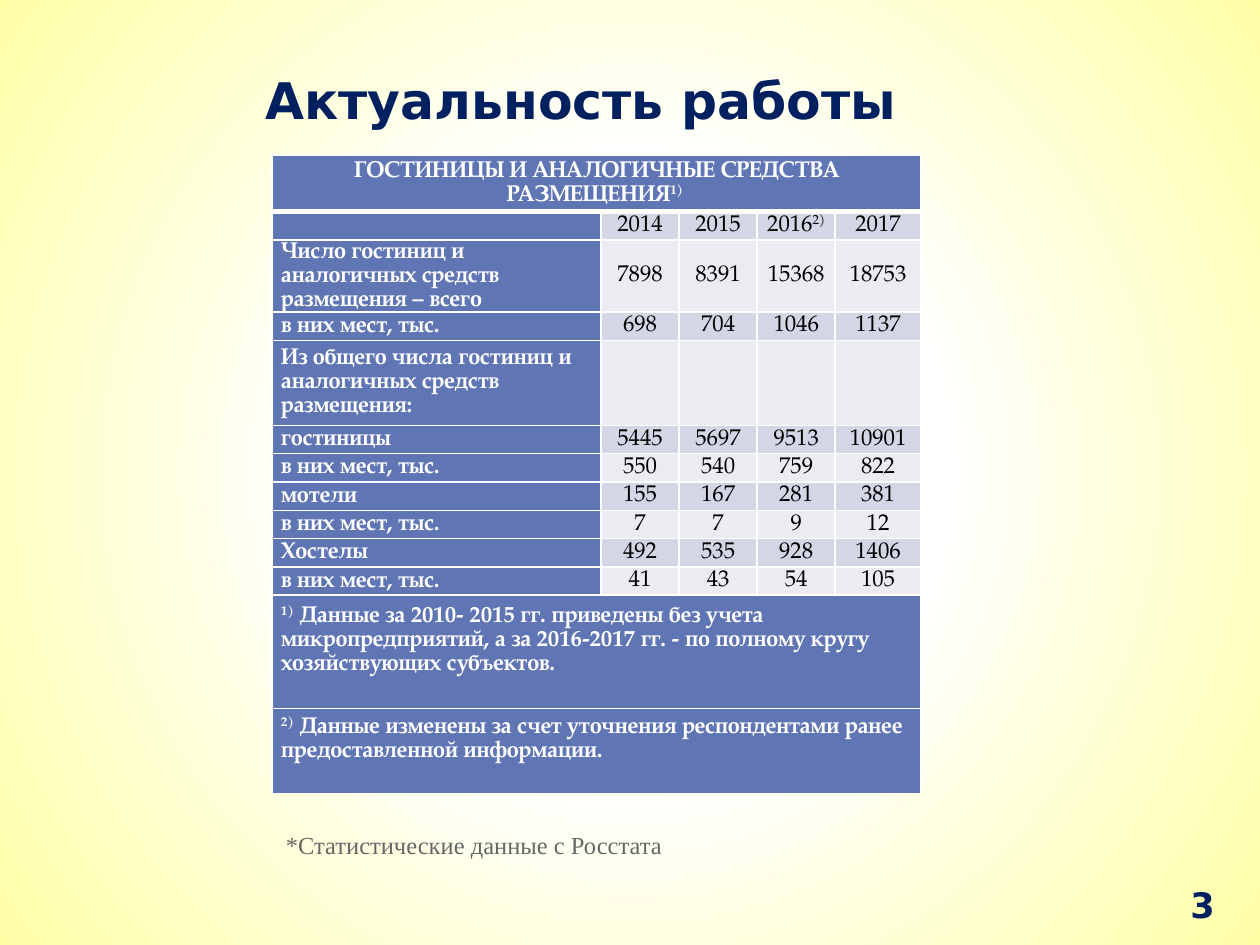
"""Build a slide with a table of hotel statistics."""
import pptx
import pptx.dml.color
import pptx.enum.text
import pptx.oxml
import pptx.oxml.ns
import pptx.util
from lxml import etree

Inches = pptx.util.Inches
Pt = pptx.util.Pt
RGBColor = pptx.dml.color.RGBColor
Align = pptx.enum.text.PP_ALIGN
Anchor = pptx.enum.text.MSO_ANCHOR
qn = pptx.oxml.ns.qn

NAVY = RGBColor(0x00, 0x20, 0x60)
GRAY = RGBColor(0x66, 0x66, 0x66)
BLUE = RGBColor(0x60, 0x76, 0xB4)
BANDS = (RGBColor(0xEA, 0xEC, 0xF2), RGBColor(0xD2, 0xD6, 0xE5))
WHITE = RGBColor(0xFF, 0xFF, 0xFF)
BLACK = RGBColor(0x00, 0x00, 0x00)
GLOW = RGBColor(0xFF, 0xFF, 0xA7)

SANS = "DejaVu Sans"
SERIF = "Times New Roman"
TABLE_FONT = "TeX Gyre Pagella"
TABLE_SIZE = 13
LINE_PITCH = Pt(13.7)
SUPERSCRIPT_MARK = "^"

TITLE = "Актуальность работы"
PAGE_NUMBER = "3"
SOURCE_NOTE = "*Статистические данные с Росстата"
PLACES = "в них мест, тыс."
ROWS = [
    (2, ["ГОСТИНИЦЫ И АНАЛОГИЧНЫЕ СРЕДСТВА РАЗМЕЩЕНИЯ^1) "]),
    (1, ["", "2014", "2015", "2016^2) ", "2017"]),
    (2, ["Число гостиниц и аналогичных средств размещения – всего", "7898", "8391", "15368", "18753"]),
    (1, [PLACES, "698", "704", "1046", "1137"]),
    (3, ["Из общего числа гостиниц и аналогичных средств размещения:", "", "", "", ""]),
    (1, ["гостиницы", "5445", "5697", "9513", "10901"]),
    (1, [PLACES, "550", "540", "759", "822"]),
    (1, ["мотели", "155", "167", "281", "381"]),
    (1, [PLACES, "7", "7", "9", "12"]),
    (1, ["Хостелы", "492", "535", "928", "1406"]),
    (1, [PLACES, "41", "43", "54", "105"]),
    (4, ["^1)^ Данные за 2010- 2015 гг. приведены без учета микропредприятий, "
         "а за 2016-2017 гг. - по полному кругу хозяйствующих субъектов."]),
    (3, ["^2)^ Данные изменены за счет уточнения респондентами ранее предоставленной информации."]),
]
ROW_UNIT = 0.9 / 4
COLUMN_WIDTHS = (2.61, 0.62, 0.62, 0.62, 0.68)
NOTE_BOTTOM = 0.19


def style(font, name, size, color, bold):
    font.name, font.size, font.bold = name, Pt(size), bold
    font.color.rgb = color


def paint_background(page):
    page.background.fill.solid()
    properties = page.background.fill._xPr
    properties.remove(properties.find(qn("a:solidFill")))
    gradient = pptx.oxml.parse_xml(
        f'<a:gradFill {pptx.oxml.ns.nsdecls("a")} rotWithShape="1"><a:gsLst>'
        f'<a:gs pos="39000"><a:srgbClr val="{WHITE}"/></a:gs>'
        f'<a:gs pos="100000"><a:srgbClr val="{GLOW}"/></a:gs></a:gsLst>'
        '<a:path path="circle"><a:fillToRect l="50000" t="50000" r="50000" b="50000"/></a:path>'
        '</a:gradFill>')
    properties.insert(0, gradient)


def add_text(page, place, text, name, size, color, bold, align, anchor):
    box = page.shapes.add_textbox(*map(Inches, place))
    frame = box.text_frame
    frame.word_wrap, frame.vertical_anchor = True, anchor
    frame.text = text
    para = frame.paragraphs[0]
    para.alignment = align
    style(para.runs[0].font, name, size, color, bold)
    return box


def set_borders(cell, top, bottom):
    properties = cell._tc.get_or_add_tcPr()
    for index, (side, width) in enumerate((("L", 1), ("R", 1), ("T", top), ("B", bottom))):
        line = etree.Element(qn(f"a:ln{side}"), w=str(Pt(width)))
        fill = etree.SubElement(line, qn("a:solidFill"))
        etree.SubElement(fill, qn("a:srgbClr"), val=str(WHITE))
        properties.insert(index, line)


def fill_cell(cell, text, label, align):
    cell.vertical_anchor = Anchor.MIDDLE
    cell.margin_left = cell.margin_right = Inches(0.07)
    cell.margin_top = cell.margin_bottom = 0
    para = cell.text_frame.paragraphs[0]
    para.alignment, para.line_spacing = align, LINE_PITCH
    for index, piece in enumerate(text.split(SUPERSCRIPT_MARK)):
        if piece:
            span = para.add_run()
            span.text = piece
            style(span.font, TABLE_FONT, TABLE_SIZE, WHITE if label else BLACK, label)
            if index % 2:
                span.font._rPr.set("baseline", "30000")
    if not text:
        etree.SubElement(para._p, qn("a:endParaRPr"), sz=str(TABLE_SIZE * 100))


def add_statistics(page):
    last = len(COLUMN_WIDTHS) - 1
    total_units = sum(units for units, texts in ROWS)
    table = page.shapes.add_table(
        len(ROWS), len(COLUMN_WIDTHS), Inches(2.16), Inches(1.23),
        Inches(sum(COLUMN_WIDTHS)), Inches(total_units * ROW_UNIT)).table
    for column, width in zip(table.columns, COLUMN_WIDTHS):
        column.width = Inches(width)
    for row, (units, texts) in enumerate(ROWS):
        table.rows[row].height = Inches(units * ROW_UNIT)
        merged = len(texts) == 1
        for column in range(last + 1):
            cell = table.cell(row, column)
            label = merged or column == 0
            cell.fill.solid()
            cell.fill.fore_color.rgb = BLUE if label else BANDS[row % 2]
            set_borders(cell, 3 if row == 1 else 1, 3 if row == 0 else 1)
            text = texts[column] if column < len(texts) else ""
            centred = row == 0 or not label
            fill_cell(cell, text, label, Align.CENTER if centred else Align.LEFT)
        if merged:
            table.cell(row, 0).merge(table.cell(row, last))
            if row:
                table.cell(row, 0).margin_bottom = Inches(NOTE_BOTTOM)


def main():
    deck = pptx.Presentation()
    deck.slide_width, deck.slide_height = Inches(10), Inches(7.5)
    page = deck.slides.add_slide(deck.slide_layouts[6])
    paint_background(page)
    title = add_text(page, (0.9, 0.21, 7.42, 0.87), TITLE, SANS, 28.8, NAVY, True,
                     Align.CENTER, Anchor.BOTTOM)
    title.text_frame.paragraphs[0].line_spacing = Pt(58)
    number = add_text(page, (7.52, 6.98, 2.17, 0.4), PAGE_NUMBER, SANS, 20, NAVY, True,
                      Align.RIGHT, Anchor.MIDDLE)
    number.text_frame.margin_right = Inches(0.05)
    add_statistics(page)
    add_text(page, (2.17, 6.54, 4.88, 0.64), SOURCE_NOTE, SERIF, 14, GRAY, False,
             Align.LEFT, Anchor.TOP)
    deck.save("out.pptx")


if __name__ == "__main__":
    main()
